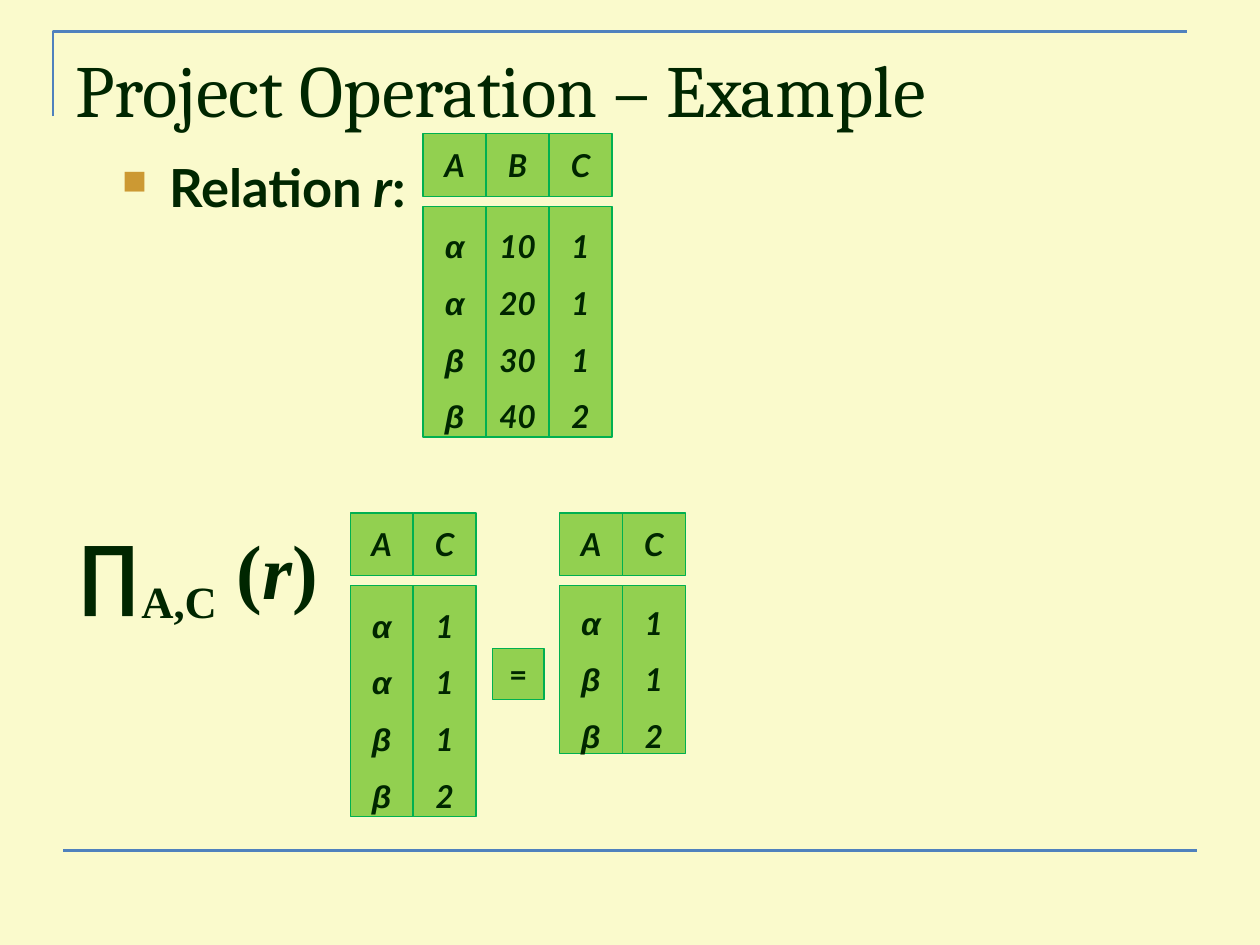
from dataclasses import dataclass

from lxml.etree import SubElement
from pptx import Presentation
from pptx.dml.color import RGBColor
from pptx.enum.shapes import MSO_CONNECTOR, MSO_SHAPE
from pptx.enum.text import MSO_ANCHOR, PP_ALIGN
from pptx.oxml.ns import qn
from pptx.util import Cm, Pt


@dataclass(frozen=True)
class Theme:
    background: RGBColor = RGBColor(0xFA, 0xFA, 0xCC)
    ink: RGBColor = RGBColor(0x00, 0x26, 0x00)
    rule: RGBColor = RGBColor(0x4F, 0x81, 0xBD)
    cell: RGBColor = RGBColor(0x92, 0xD0, 0x50)
    border: RGBColor = RGBColor(0x00, 0xB0, 0x50)
    bullet: str = "CC9933"
    title_font: str = "Cambria"
    body_font: str = "Lato"
    symbol_font: str = "Arial"
    formula_font: str = "Times New Roman"
    title_size: int = 42
    body_size: int = 30
    cell_size: int = 18
    formula_size: int = 44


@dataclass(frozen=True)
class Column:
    name: str
    values: tuple[str, ...]
    font: str = "Lato"


@dataclass(frozen=True)
class Relation:
    left: float
    top: float
    body_height: float
    columns: tuple[Column, ...]


@dataclass(frozen=True)
class Span:
    text: str
    font: str
    italic: bool = False
    baseline: int = 0


THEME = Theme()
CELL = 1.27  # column width and header height, cm
BODY_OFFSET = 1.47  # header top to body top, cm

RELATIONS = (
    Relation(8.53, 2.69, 4.65, (
        Column("A", ("α", "α", "β", "β"), THEME.symbol_font),
        Column("B", ("10", "20", "30", "40")),
        Column("C", ("1", "1", "1", "2")),
    )),
    Relation(7.06, 10.34, 4.65, (
        Column("A", ("α", "α", "β", "β"), THEME.symbol_font),
        Column("C", ("1", "1", "1", "2")),
    )),
    Relation(11.28, 10.34, 3.38, (
        Column("A", ("α", "β", "β"), THEME.symbol_font),
        Column("C", ("1", "1", "2")),
    )),
)


def style_font(font, name: str, size: int, bold: bool = True, italic: bool | None = None) -> None:
    font.name, font.size, font.bold, font.italic = name, Pt(size), bold, italic
    font.color.rgb = THEME.ink


def add_text(page, left: float, top: float, width: float, height: float,
             spans: tuple[Span, ...], size: int, bold: bool = True):
    """Add a one-paragraph text box and return its paragraph."""
    box = page.shapes.add_textbox(Cm(left), Cm(top), Cm(width), Cm(height))
    box.text_frame.word_wrap = True
    paragraph = box.text_frame.paragraphs[0]
    for item in spans:
        span = paragraph.add_run()
        span.text = item.text
        style_font(span.font, item.font, size, bold, item.italic)
        if item.baseline:
            span.font._element.set("baseline", str(item.baseline * 1000))
    return paragraph


def add_bullet(paragraph) -> None:
    properties = paragraph._p.get_or_add_pPr()
    properties.set("marL", str(Cm(0.95)))
    properties.set("indent", str(Cm(-0.95)))
    color = SubElement(properties, qn("a:buClr"))
    SubElement(color, qn("a:srgbClr"), val=THEME.bullet)
    SubElement(properties, qn("a:buSzPct"), val="65000")
    SubElement(properties, qn("a:buChar"), char="■")


def add_cell(page, left: float, top: float, width: float, height: float,
             lines: tuple[str, ...], font: str = THEME.body_font, italic: bool = True,
             spacing: float | None = None, before: int = 0) -> None:
    """Add a green box with one centred paragraph per line."""
    box = page.shapes.add_shape(MSO_SHAPE.RECTANGLE, Cm(left), Cm(top), Cm(width), Cm(height))
    box.shadow.inherit = False
    box.fill.solid()
    box.fill.fore_color.rgb = THEME.cell
    box.line.color.rgb = THEME.border
    box.line.width = Pt(0.75)
    frame = box.text_frame
    frame.word_wrap = False
    frame.vertical_anchor = MSO_ANCHOR.MIDDLE
    frame.text = "\n".join(lines)
    for paragraph in frame.paragraphs:
        paragraph.alignment = PP_ALIGN.CENTER
        paragraph.line_spacing = spacing
        paragraph.space_before = Pt(before)
        style_font(paragraph.font, font, THEME.cell_size, italic=italic)


def add_relation(page, relation: Relation) -> None:
    for index, column in enumerate(relation.columns):
        left = relation.left + index * CELL
        add_cell(page, left, relation.top, CELL, CELL, (column.name,))
        add_cell(page, left, relation.top + BODY_OFFSET, CELL, relation.body_height,
                 column.values, column.font, spacing=1.5)


def add_frame_rules(page) -> None:
    # Corner rule above the title
    builder = page.shapes.build_freeform(Cm(1.07), Cm(2.34))
    builder.add_line_segments([(Cm(1.07), Cm(0.64)), (Cm(23.93), Cm(0.64))], close=False)
    corner = builder.convert_to_shape()
    corner.shadow.inherit = False
    corner.fill.background()
    # Rule at the foot
    foot = page.shapes.add_connector(MSO_CONNECTOR.STRAIGHT, Cm(1.27), Cm(17.15),
                                     Cm(24.13), Cm(17.15))
    SubElement(foot._element.spPr, qn("a:effectLst"))
    for rule in (corner, foot):
        rule.line.color.rgb = THEME.rule
        rule.line.width = Pt(1.5)


def main() -> None:
    deck = Presentation()
    deck.slide_width, deck.slide_height = Cm(25.4), Cm(19.05)
    page = deck.slides.add_slide(deck.slide_layouts[6])
    page.background.fill.solid()
    page.background.fill.fore_color.rgb = THEME.background
    add_frame_rules(page)

    # Title and bullet
    add_text(page, 1.27, 0.76, 22.86, 3.18,
             (Span("Project Operation – Example", THEME.title_font),),
             THEME.title_size, bold=False)
    label = add_text(page, 2.21, 3, 19.05, 1.14, (
        Span("Relation", THEME.body_font),
        Span(" r", THEME.body_font, italic=True),
        Span(":", THEME.body_font),
    ), THEME.body_size)
    label.space_before = Pt(6)
    add_bullet(label)

    # Relations and the equals sign between the projections
    for relation in RELATIONS:
        add_relation(page, relation)
    add_cell(page, 9.93, 13.08, 1.04, 1.02, ("=",), italic=False, before=9)

    # Projection formula
    add_text(page, 1.32, 10.41, 19.53, 1.14, (
        Span("∏", THEME.symbol_font),
        Span("A,C", THEME.formula_font, baseline=-25),
        Span(" (", THEME.formula_font),
        Span("r", THEME.formula_font, italic=True),
        Span(")", THEME.formula_font),
    ), THEME.formula_size)
    deck.save("out.pptx")


if __name__ == "__main__":
    main()
